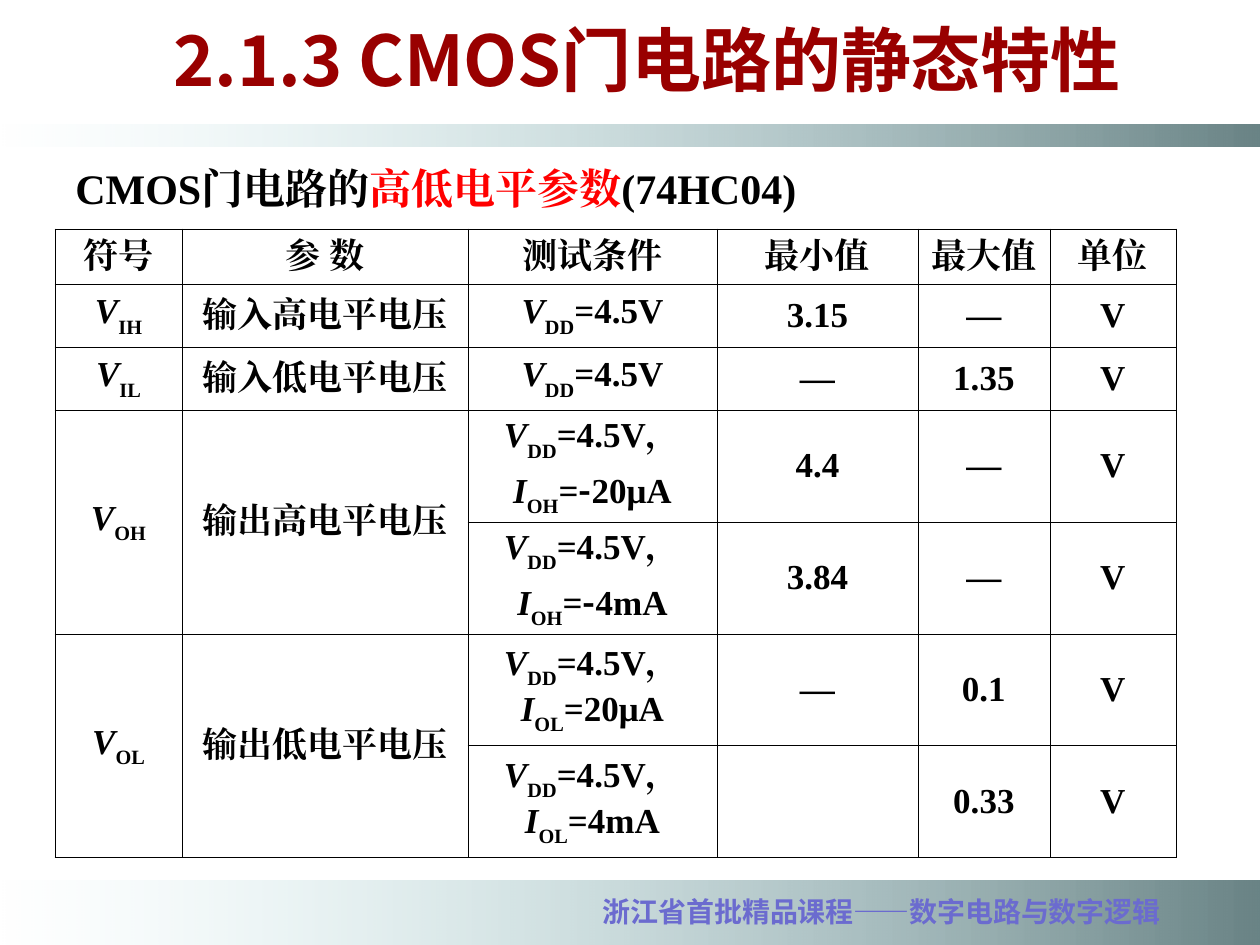
from lxml.etree import SubElement as Sub
from pptx import Presentation
from pptx.dml.color import RGBColor as Rgb
from pptx.enum.shapes import MSO_SHAPE as Kind
from pptx.enum.text import MSO_ANCHOR as Anchor, MSO_AUTO_SIZE as Fit, PP_ALIGN as Align
from pptx.oxml.ns import qn
from pptx.util import Emu, Pt

PX = 914400 / 126
HEX = {"dark": "6A8486", "pale": "B8E3E6", "foot": "6B6BCF", "ink": "000000",
       "hot": "FF0000", "title": "990000"}
SANS, SERIF = "Noto Sans CJK SC", "Times New Roman"
COLS = [127, 286, 249, 201, 132, 126]
ROWS = [55, 63, 63, 112, 112, 112, 112]
VDD = [("V", "it"), ("DD", "sub"), ("=4.5V", "")]
VDDC = VDD[:2] + [("=4.5V，", "")]


def sym(name, sub):
    """Return the runs of a symbol with its subscript."""
    return [(name, "it"), (sub, "sub")]


def high(value):
    """Return the two lines of a high output test."""
    return [VDDC, sym("I", "OH") + [("=", ""), ("-", "sans"), (value, "")]]


def low(value):
    """Return the single wrapped line of a low output test."""
    return [VDDC + sym("I", "OL") + [("=" + value, "")]]


DATA = [
    ["符号", "参 数", "测试条件", "最小值", "最大值", "单位"],
    [[sym("V", "IH")], "输入高电平电压", [VDD], "3.15", "—", "V"],
    [[sym("V", "IL")], "输入低电平电压", [VDD], "—", "1.35", "V"],
    [[sym("V", "OH")], "输出高电平电压", high("20μA"), "4.4", "—", "V"],
    [None, None, high("4mA"), "3.84", "—", "V"],
    [[sym("V", "OL")], "输出低电平电压", low("20μA"), "—", "0.1", "V"],
    [None, None, low("4mA"), "", "0.33", "V"],
]


def px(num):
    """Turn px into EMU."""
    return Emu(round(num * PX))


def style(run, size, face, tint, form=""):
    """Set the look of one run."""
    font = run.font
    look = {"size": Pt(size), "name": SANS if form == "sans" else face,
            "bold": True, "italic": form == "it"}
    for key, val in look.items():
        setattr(font, key, val)
    font.color.rgb = Rgb.from_string(HEX[tint])
    props = run._r.get_or_add_rPr()
    Sub(props, qn("a:ea")).set("typeface", font.name)
    if form == "sub":
        props.set("baseline", "-30000")


def band(slide, box):
    """Draw a bar that fades out to the left."""
    bar = slide.shapes.add_shape(Kind.RECTANGLE, *map(px, box))
    bar.shadow.inherit = False
    bar.line.fill.background()
    bar.fill.gradient()
    bar.fill.gradient_angle = 180
    for stop, tint, pos in zip(bar.fill.gradient_stops, ("dark", "pale"), (0, 1)):
        stop.color.rgb = Rgb.from_string(HEX[tint])
        stop.position = pos
    clear = bar._element.spPr.findall(".//" + qn("a:srgbClr"))[-1]
    Sub(clear, qn("a:alpha")).set("val", "0")


def label(slide, box, parts, size, face, align=Align.CENTER):
    """Write one line of coloured parts in a box."""
    frame = slide.shapes.add_textbox(*map(px, box)).text_frame
    look = {"word_wrap": True, "auto_size": Fit.SHAPE_TO_FIT_TEXT,
            "vertical_anchor": Anchor.MIDDLE}
    for key, val in look.items():
        setattr(frame, key, val)
    para = frame.paragraphs[0]
    para.alignment = align
    for text, tint in parts:
        run = para.add_run()
        run.text = text
        style(run, size, face, tint)


def edge(cell):
    """Give a cell thin black borders and no fill."""
    props = cell._tc.get_or_add_tcPr()
    for side in ("lnL", "lnR", "lnT", "lnB"):
        line = Sub(props, qn("a:" + side), w="5715")
        Sub(Sub(line, qn("a:solidFill")), qn("a:srgbClr"), val=HEX["ink"])
    cell.fill.background()


def write(cell, lines):
    """Fill a cell with centred lines of runs."""
    cell.vertical_anchor = Anchor.MIDDLE
    frame = cell.text_frame
    for num, runs in enumerate(lines):
        para = frame.add_paragraph() if num else frame.paragraphs[0]
        para.alignment = Align.CENTER
        for text, form in runs:
            run = para.add_run()
            run.text = text
            style(run, 20, SERIF, "ink", form)


def grid(slide, left, top):
    """Build the table of level parameters."""
    box = (left, top, sum(COLS), sum(ROWS))
    table = slide.shapes.add_table(len(ROWS), len(COLS), *map(px, box)).table
    for flag in ("first_row", "horz_banding"):
        setattr(table, flag, False)
    for col, wide in zip(table.columns, COLS):
        col.width = px(wide)
    for row, tall in zip(table.rows, ROWS):
        row.height = px(tall)
    for r, line in enumerate(DATA):
        for c, item in enumerate(line):
            cell = table.cell(r, c)
            edge(cell)
            if item:
                write(cell, [[(item, "")]] if isinstance(item, str) else item)
            elif item is None:
                table.cell(r - 1, c).merge(cell)


def main():
    """Build the slide and save it."""
    deck = Presentation()
    deck.slide_width, deck.slide_height = px(1260), px(945)
    slide = deck.slides.add_slide(deck.slide_layouts[6])
    band(slide, (0, 881, 1260, 64))
    band(slide, (0, 125, 1260, 22))
    label(slide, (567, 888, 630, 47), [("浙江省首批精品课程——数字电路与数字逻辑", "foot")], 16, SANS)
    label(slide, (63, 156, 808, 63),
          [("CMOS门电路的", "ink"), ("高低电平参数", "hot"), ("(74HC04)", "ink")],
          24, SERIF, Align.JUSTIFY)
    label(slide, (135, 10, 1024, 97), [("2.1.3 CMOS门电路的静态特性", "title")], 40, SANS)
    grid(slide, 55, 229)
    deck.save("out.pptx")


if __name__ == "__main__":
    main()
